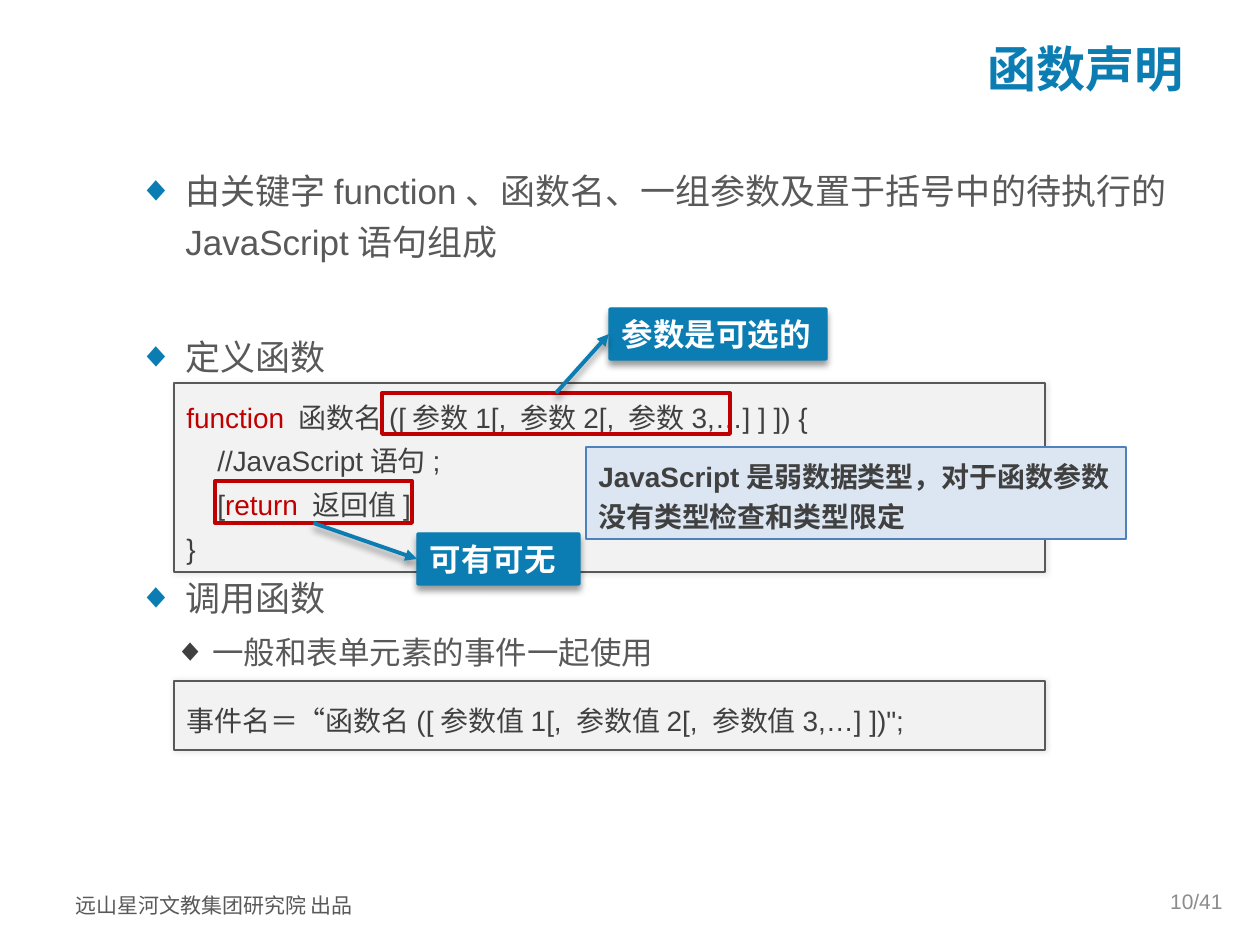
import pptx
import pptx.util
import pptx.dml.color
import pptx.enum.shapes
import pptx.enum.text
import pptx.oxml
import pptx.oxml.ns
from lxml import etree

RGBColor = pptx.dml.color.RGBColor
Shape = pptx.enum.shapes.MSO_SHAPE
Anchor = pptx.enum.text.MSO_ANCHOR
Align = pptx.enum.text.PP_ALIGN
qn = pptx.oxml.ns.qn

EMU_PER_PX = 914400 / 126
LATIN, CJK = "Arial", "Noto Sans CJK SC"
BLUE = RGBColor(0x0B, 0x7D, 0xB2)
RED = RGBColor(0xC0, 0x00, 0x00)
DARK = RGBColor(0x40, 0x40, 0x40)
GRAY = RGBColor(0x59, 0x59, 0x59)
PAGE_GRAY = RGBColor(0x8C, 0x8C, 0x8C)
CODE_FILL = RGBColor(0xF2, 0xF2, 0xF2)
NOTE_FILL = RGBColor(0xDC, 0xE6, 0xF2)
NOTE_LINE = RGBColor(0x4F, 0x81, 0xBD)
WHITE = RGBColor(0xFF, 0xFF, 0xFF)

# Shadows: opacity %, blur pt, distance pt, direction in degrees
SOFT_SHADOW = (10, 3, 0, 0)
DROP_SHADOW = (40, 4, 3, 90)

# Content: boxes are (left, top, width, height) in px
TITLE = ("函数声明", (126, 39, 1070, 57))
FOOTER = ("远山星河文教集团研究院 出品", (63, 881, 319, 43))
PAGE_NUMBER = ("10/41", (941, 876, 294, 50))

# Bullets: text, size, bullet colour, left margin, hanging indent
BULLET_GROUPS = [
    ((126, 155, 1070, 120), [
        ("由关键字function、函数名、一组参数及置于括号中的待执行的JavaScript语句组成", 20, BLUE, 47, 47)]),
    ((126, 321, 400, 60), [("定义函数", 20, BLUE, 47, 47)]),
    ((126, 562, 1070, 120), [
        ("调用函数", 20, BLUE, 47, 47),
        ("一般和表单元素的事件一起使用", 18, DARK, 74, 38)]),
]

# Code: lines of (text, colour) runs
CODE_BOXES = [
    ((174, 383, 871, 189), [
        [("function ", RED), ("函数名([参数1[, 参数2[, 参数3,…] ] ]) {", DARK)],
        [("    //JavaScript语句;", DARK)],
        [("    [", DARK), ("return ", RED), ("返回值]", DARK)],
        [("}", DARK)]]),
    ((174, 681, 871, 69), [
        [("事件名＝“函数名([参数值1[, 参数值2[, 参数值3,…] ])\";", DARK)]]),
]
NOTE = ("JavaScript是弱数据类型，对于函数参数没有类型检查和类型限定", (586, 447, 540, 92))

# Callouts: framed code, frame side, label text, label box, label wraps
CALLOUTS = [
    ((382, 393, 348, 41), 0, "参数是可选的", (609, 308, 218, 52), False),
    ((215, 481, 197, 42), 2, "可有可无", (417, 533, 163, 52), True),
]


def px(value):
    return pptx.util.Emu(round(value * EMU_PER_PX))


def add_run(paragraph, text, size, color, bold=False, latin=LATIN):
    run = paragraph.add_run()
    run.text = text
    run.font.size = pptx.util.Pt(size)
    run.font.bold = bold
    run.font.name = latin
    run.font.color.rgb = color
    east_asian = etree.SubElement(run._r.get_or_add_rPr(), qn("a:ea"))
    east_asian.set("typeface", CJK)


def add_text_box(slide, box, anchor=Anchor.TOP):
    shape = slide.shapes.add_textbox(*map(px, box))
    shape.text_frame.word_wrap = True
    shape.text_frame.vertical_anchor = anchor
    return shape.text_frame


def add_line_of_text(slide, text, box, size, color, align, anchor, **style):
    paragraph = add_text_box(slide, box, anchor).paragraphs[0]
    paragraph.alignment = align
    add_run(paragraph, text, size, color, **style)
    return paragraph


def add_bullet(paragraph, color, margin, hanging):
    properties = paragraph._p.get_or_add_pPr()
    properties.set("marL", str(px(margin)))
    properties.set("indent", str(-px(hanging)))
    bullet_color = etree.SubElement(properties, qn("a:buClr"))
    etree.SubElement(bullet_color, qn("a:srgbClr")).set("val", str(color))
    etree.SubElement(properties, qn("a:buFont")).set("typeface", LATIN)
    etree.SubElement(properties, qn("a:buChar")).set("char", "◆")


def set_shadow(shape, shadow=None):
    properties = shape._element.spPr
    for old in properties.findall(qn("a:effectLst")):
        properties.remove(old)
    effects = etree.SubElement(properties, qn("a:effectLst"))
    if shadow:
        opacity, blur, distance, direction = shadow
        outer = etree.SubElement(effects, qn("a:outerShdw"), blurRad=str(blur * 12700),
                                 dist=str(distance * 12700), dir=str(direction * 60000),
                                 algn="ctr", rotWithShape="0")
        color = etree.SubElement(outer, qn("a:srgbClr"), val="000000")
        etree.SubElement(color, qn("a:alpha"), val=str(opacity * 1000))


def add_panel(slide, kind, box, fill, line, width, shadow=None, corner=0):
    shape = slide.shapes.add_shape(kind, *map(px, box))
    if kind == Shape.ROUNDED_RECTANGLE:
        shape.adjustments[0] = corner
    if fill is None:
        shape.fill.background()
    else:
        shape.fill.solid()
        shape.fill.fore_color.rgb = fill
    shape.line.color.rgb = line
    shape.line.width = pptx.util.Pt(width)
    set_shadow(shape, shadow)
    return shape


def fill_text(shape, lines, size, bold=False, spacing=1.0, anchor=Anchor.MIDDLE, wrap=True):
    frame = shape.text_frame
    frame.word_wrap = wrap
    frame.vertical_anchor = anchor
    for index, runs in enumerate(lines):
        paragraph = frame.add_paragraph() if index else frame.paragraphs[0]
        paragraph.alignment = Align.LEFT
        paragraph.line_spacing = spacing
        for text, color in runs:
            add_run(paragraph, text, size, color, bold)


def add_callout(slide, frame_box, side, text, label_box, wrap):
    frame = add_panel(slide, Shape.RECTANGLE, frame_box, None, RED, 2.25)
    label = add_panel(slide, Shape.ROUNDED_RECTANGLE, label_box, BLUE, BLUE, 0.75,
                      DROP_SHADOW, 0.03)
    fill_text(label, [[(text, WHITE)]], 18, bold=True, anchor=Anchor.BOTTOM, wrap=wrap)
    arrow = slide.shapes.add_connector(pptx.enum.shapes.MSO_CONNECTOR.STRAIGHT, 0, 0, 0, 0)
    arrow.begin_connect(frame, side)
    arrow.end_connect(label, 1)
    arrow.line.color.rgb = BLUE
    arrow.line.width = pptx.util.Pt(2.25)
    etree.SubElement(arrow.line._get_or_add_ln(), qn("a:tailEnd"), type="triangle")
    set_shadow(arrow, DROP_SHADOW)


def main():
    presentation = pptx.Presentation()
    presentation.slide_width, presentation.slide_height = px(1260), px(945)
    slide = presentation.slides.add_slide(presentation.slide_layouts[6])

    # Title, footer and page number
    footer = add_line_of_text(slide, *FOOTER, 12, GRAY, Align.LEFT, Anchor.TOP, latin=CJK)
    footer.line_spacing = 1.2
    add_line_of_text(slide, *TITLE, 28, BLUE, Align.RIGHT, Anchor.MIDDLE, bold=True)
    add_line_of_text(slide, *PAGE_NUMBER, 12, PAGE_GRAY, Align.RIGHT, Anchor.MIDDLE)

    # Bullets
    for box, bullets in BULLET_GROUPS:
        frame = add_text_box(slide, box)
        for index, (text, size, color, margin, hanging) in enumerate(bullets):
            paragraph = frame.add_paragraph() if index else frame.paragraphs[0]
            paragraph.line_spacing = 1.2
            if index:
                paragraph.space_before = pptx.util.Pt(4)
            add_bullet(paragraph, color, margin, hanging)
            add_run(paragraph, text, size, GRAY)

    # Code boxes
    for box, lines in CODE_BOXES:
        panel = add_panel(slide, Shape.ROUNDED_RECTANGLE, box, CODE_FILL, GRAY, 1, SOFT_SHADOW)
        fill_text(panel, lines, 16, spacing=1.3)

    # Note and callouts
    text, box = NOTE
    note = add_panel(slide, Shape.ROUNDED_RECTANGLE, box, NOTE_FILL, NOTE_LINE, 1.5)
    fill_text(note, [[(text, DARK)]], 16, bold=True, spacing=1.2)
    for callout in CALLOUTS:
        add_callout(slide, *callout)

    presentation.save("out.pptx")


if __name__ == "__main__":
    main()
